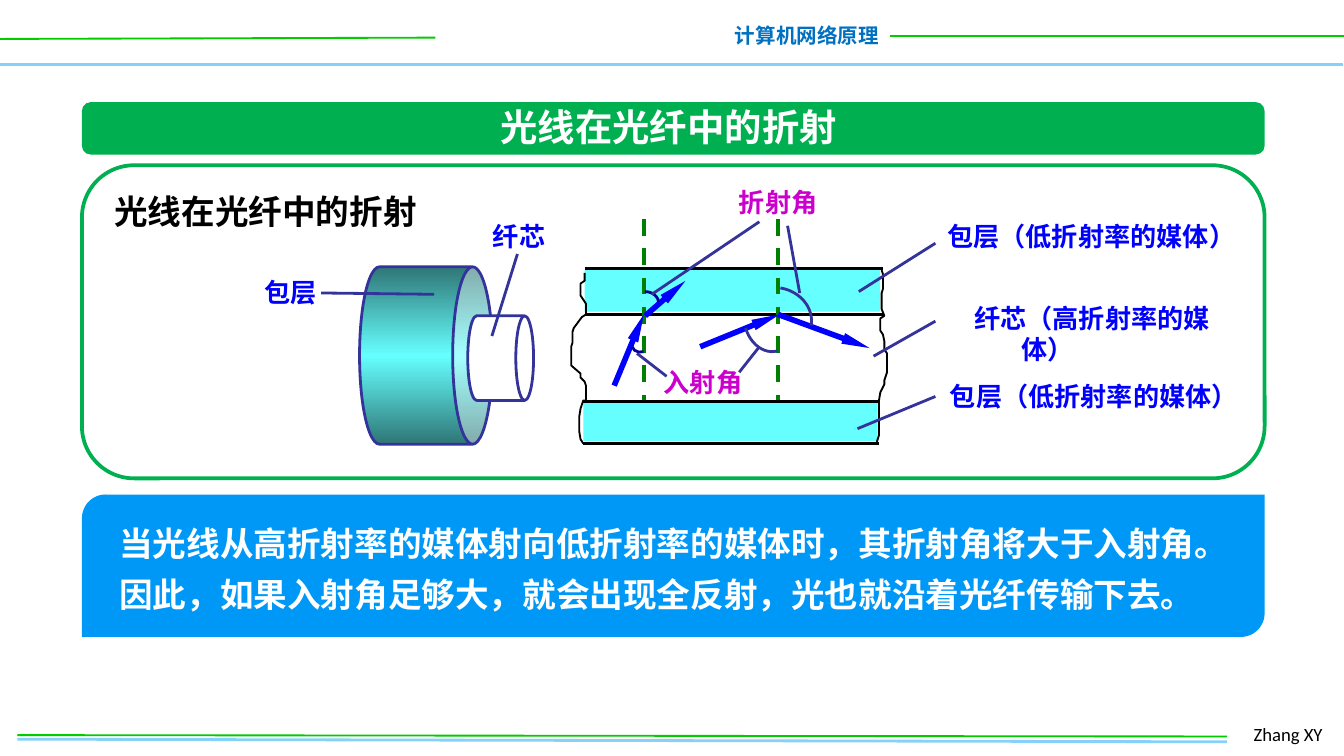
import pptx
import pptx.dml.color
import pptx.enum.dml
import pptx.enum.shapes
import pptx.enum.text
import pptx.oxml
import pptx.oxml.ns
import pptx.util
import copy

PX = 9144  # EMU per px, 100 px to the inch
CJK = "Noto Sans CJK SC"
GREEN, LIGHT_BLUE, BLUE, INDIGO = "00CC00", "85D1F7", "0000FF", "333399"
MAGENTA, CYAN, BLACK, WHITE = "CC00CC", "66FFFF", "000000", "FFFFFF"
SHAPE = pptx.enum.shapes.MSO_SHAPE
ALIGN = pptx.enum.text.PP_ALIGN
qn = pptx.oxml.ns.qn
rgb = pptx.dml.color.RGBColor.from_string

deck = pptx.Presentation()
deck.slide_width = 1000 * PX
deck.slide_height = deck.slide_width * 9 // 16
slide = deck.slides.add_slide(deck.slide_layouts[5])
shapes = slide.shapes


def write(text, at, size=14, color=BLUE, bold=True, font=CJK, align=ALIGN.LEFT,
          wrap=False, hang=0, spacing=None, holder=None):
    """Put one formatted paragraph into a new text box or a given placeholder."""
    left, top, width, height = (v * PX for v in at)
    if holder is None:
        holder = shapes.add_textbox(left, top, width, height)
    else:
        holder.left, holder.top, holder.width, holder.height = left, top, width, height
    frame = holder.text_frame
    frame.word_wrap = wrap
    frame.auto_size = pptx.enum.text.MSO_AUTO_SIZE.NONE
    paragraph = frame.paragraphs[0]
    paragraph.alignment = align
    if spacing:
        paragraph.line_spacing = pptx.util.Pt(spacing)
    if hang:
        properties = paragraph._p.get_or_add_pPr()
        properties.set("marL", str(hang * PX))
        properties.set("indent", str(-hang * PX))
    run = paragraph.add_run()
    run.text = text
    run.font.size, run.font.bold, run.font.name = pptx.util.Pt(size), bold, font
    run.font.color.rgb = rgb(color)
    east_asian = pptx.oxml.parse_xml(
        f'<a:ea {pptx.oxml.ns.nsdecls("a")} typeface="{font}"/>')
    run.font._element.find(qn("a:latin")).addnext(east_asian)


def draw(kind, at, fill=None, line=None, weight=1.5, dash=False, arrow=False):
    """Draw a line (kind None), a ragged outline (kind "edge") or a preset shape."""
    if kind is None:
        item = shapes.add_connector(pptx.enum.shapes.MSO_CONNECTOR.STRAIGHT,
                                    *(v * PX for v in at))
    elif kind == "edge":
        builder = shapes.build_freeform(*at[0], scale=PX)
        builder.add_line_segments(at[1:], close=False)
        item = builder.convert_to_shape()
    else:
        item = shapes.add_shape(kind, *(v * PX for v in at))
    if line:
        item.line.color.rgb = rgb(line)
        item.line.width = pptx.util.Pt(weight)
    else:
        item.line.fill.background()
    if dash:
        item.line.dash_style = pptx.enum.dml.MSO_LINE.DASH
    if arrow:
        item.line._get_or_add_ln().append(pptx.oxml.parse_xml(
            f'<a:tailEnd {pptx.oxml.ns.nsdecls("a")} type="triangle" w="sm" len="lg"/>'))
    if kind is None:
        item._element.spPr.append(pptx.oxml.parse_xml(
            f'<a:effectLst {pptx.oxml.ns.nsdecls("a")}/>'))
        return item
    item.shadow.inherit = False
    if fill:
        item.fill.solid()
        item.fill.fore_color.rgb = rgb(fill)
    else:
        item.fill.background()
    return item


# Header and footer
for ends, color, weight in [((-1, 48, 999, 48), LIGHT_BLUE, 2),
                            ((0, 29, 324, 28), GREEN, 1),
                            ((662, 27, 1001, 27), GREEN, 1),
                            ((13, 550, 913, 552), LIGHT_BLUE, 1.5),
                            ((13, 547, 913, 548), GREEN, 1)]:
    draw(None, ends, line=color, weight=weight)
write("计算机网络原理", (536, 12, 128, 29), size=11, color="0070C0", align=ALIGN.RIGHT)
write("Zhang XY", (923, 533, 74, 27), size=10, color=BLACK, bold=False, font="Calibri")

# Title on its green bar
title_bar = draw(SHAPE.ROUNDED_RECTANGLE, (61, 76, 880, 39), fill="00B050")
shapes.title._element.addprevious(title_bar._element)
shapes.title.text_frame.vertical_anchor = pptx.enum.text.MSO_ANCHOR.MIDDLE
write("光线在光纤中的折射", (357, 72, 281, 44), size=20, color=WHITE,
      align=ALIGN.CENTER, holder=shapes.title)

# Diagram panel
draw(SHAPE.ROUNDED_RECTANGLE, (61, 123, 880, 233), fill=WHITE, line="00B050", weight=2)
write("光线在光纤中的折射", (72, 137, 251, 40), size=18, color=BLACK,
      align=ALIGN.CENTER, wrap=True)

# Fibre section: cladding bands, boundaries and ragged ends
draw(SHAPE.RECTANGLE, (435, 201, 220, 31), fill=CYAN)
draw(SHAPE.RECTANGLE, (434, 300, 219, 28), fill=CYAN)
for left, right, y in [(435, 657, 200), (435, 657, 234), (434, 654, 299), (434, 654, 330)]:
    draw(None, (left, y, right, y), line=BLACK)
left_edge = [(435, 203), (435, 209), (432, 211), (432, 220), (436, 226), (436, 234),
             (433, 236), (427, 244), (426, 247), (426, 255), (425, 258), (425, 272),
             (432, 278), (432, 281), (435, 284), (436, 287), (436, 298), (434, 298),
             (432, 304), (431, 310), (431, 321), (432, 327), (434, 330)]
right_edge = [(656, 201), (657, 204), (657, 215), (656, 218), (656, 230), (658, 235),
              (655, 237), (655, 246), (657, 249), (658, 254), (658, 260), (660, 263),
              (660, 277), (658, 283), (658, 286), (655, 292), (654, 298), (654, 324),
              (652, 330)]
for edge in (left_edge, right_edge):
    draw("edge", edge, line=BLACK, weight=1)

# Normals, rays and angle arcs
for x in (479, 579):
    draw(None, (x, 163, x, 298), line="008000", weight=2.25, dash=True)
for ray in [(457, 287, 479, 234), (480, 235, 510, 209),
            (521, 258, 580, 234), (579, 234, 647, 259)]:
    draw(None, ray, line=BLUE, weight=3, arrow=True)
for x, y, rx, ry, turn, color in [(477, 256, 7, 6, 162, "000099"),
                                  (480, 225, 10, 8, 0, "000099"),
                                  (572, 239, 18, 23, 164, INDIGO),
                                  (577, 238, 27, 24, 9, INDIGO)]:
    arc = draw(SHAPE.ARC, (x - rx, y - ry, 2 * rx, 2 * ry), line=color)
    arc.rotation = turn

# Fibre in perspective: cladding and core cylinders
cladding = draw(SHAPE.CAN, (251, 215, 132, 99), fill=CYAN, line=INDIGO)
cladding.adjustments[0] = 0.3
cladding.fill.gradient()
cladding.fill.gradient_angle = 0
stop_list = cladding._element.spPr.find(".//" + qn("a:gsLst"))
stop_list.append(copy.deepcopy(stop_list[-1]))
for stop, place, color in zip(cladding.fill.gradient_stops, (0, 0.5, 1),
                              ("2F7676", CYAN, "2F7676")):
    stop.position = place
    stop.color.rgb = rgb(color)
core = draw(SHAPE.CAN, (341, 242, 63, 49), fill=WHITE, line=INDIGO)
core.adjustments[0] = 0.27
for cylinder in (cladding, core):
    cylinder.rotation = 90

# Leader lines and labels
for leader in [(586, 168, 595, 218), (485, 219, 565, 165), (474, 263, 496, 280),
               (550, 277, 565, 258), (650, 265, 696, 239), (696, 181, 639, 217),
               (696, 295, 638, 319), (239, 218, 323, 219), (385, 189, 366, 250)]:
    draw(None, leader, line=INDIGO)
write("折射角", (540, 134, 79, 33), color=MAGENTA)
write("入射角", (484, 268, 83, 33), color=MAGENTA)
write("包层", (187, 201, 59, 34))
write("纤芯", (357, 159, 70, 34))
for left, top in [(695, 159), (697, 278)]:
    write("包层（低折射率的媒体）", (left, top, 240, 34))
write("纤芯（高折射率的媒体）", (715, 220, 205, 60), wrap=True, hang=35)

# Conclusion
draw(SHAPE.ROUND_2_DIAG_RECTANGLE, (61, 368, 880, 106), fill="0098F6")
write("当光线从高折射率的媒体射向低折射率的媒体时，其折射角将大于入射角。"
      "因此，如果入射角足够大，就会出现全反射，光也就沿着光纤传输下去。",
      (79, 377, 846, 86), size=18, color=WHITE, wrap=True, spacing=27)

deck.save("out.pptx")
